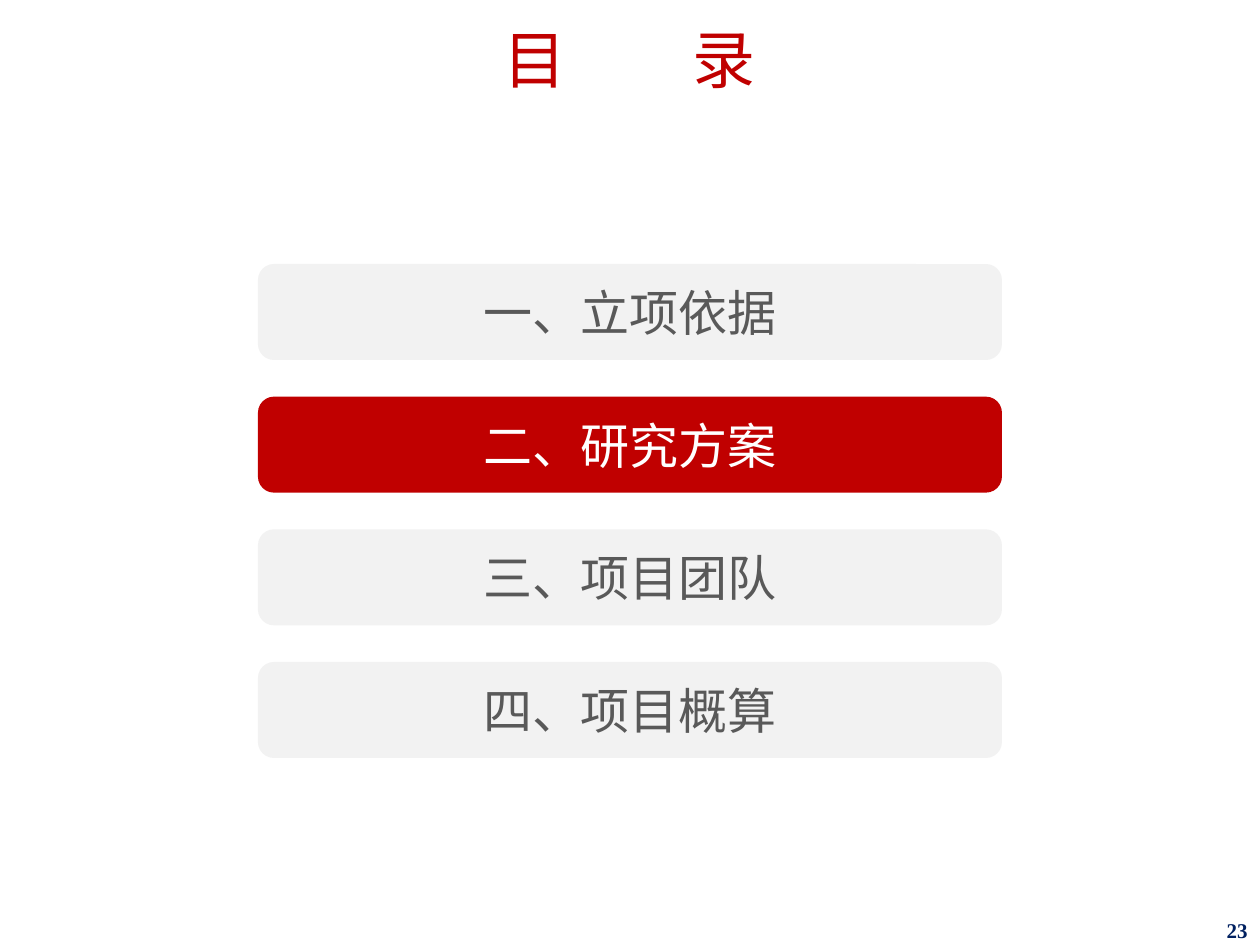
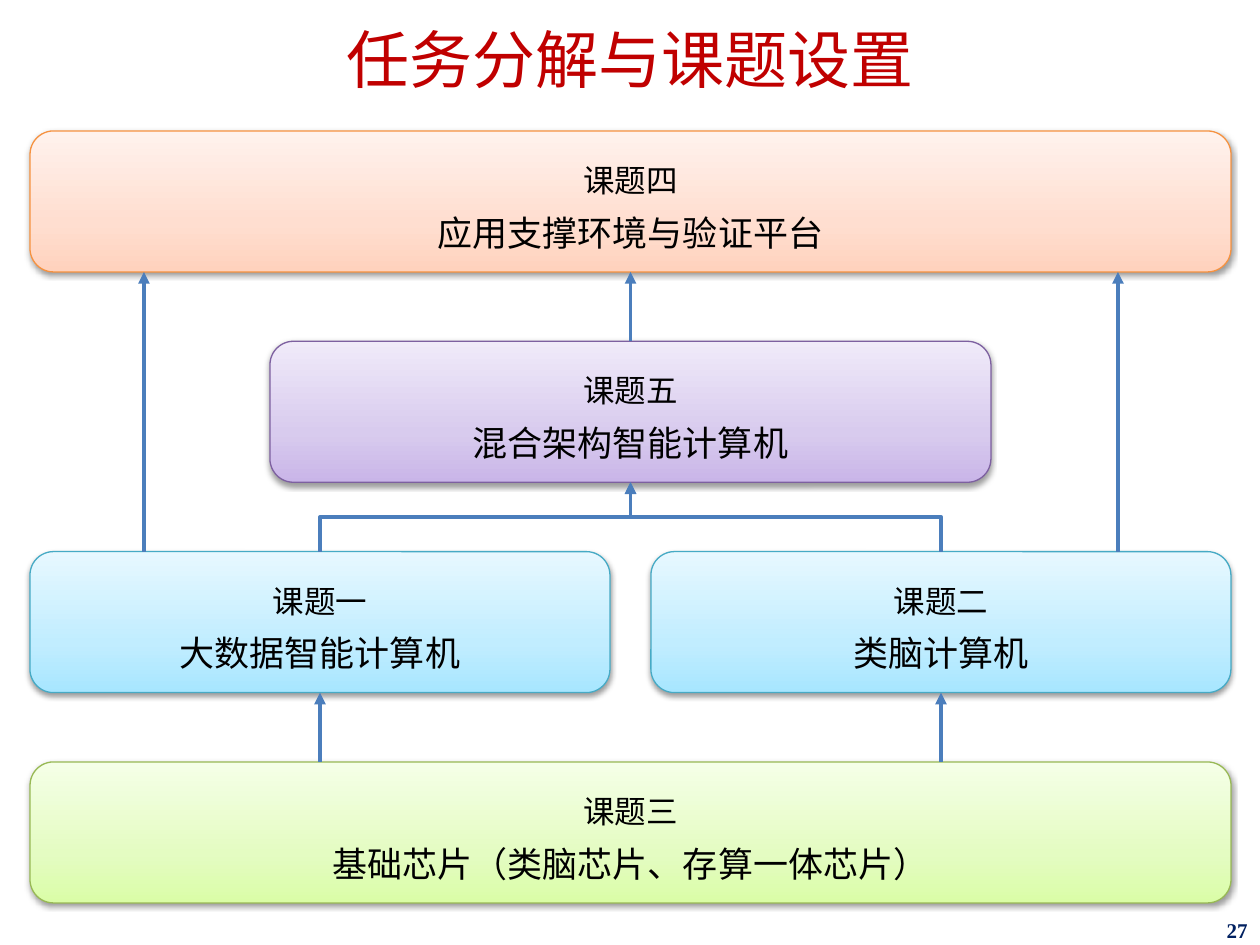
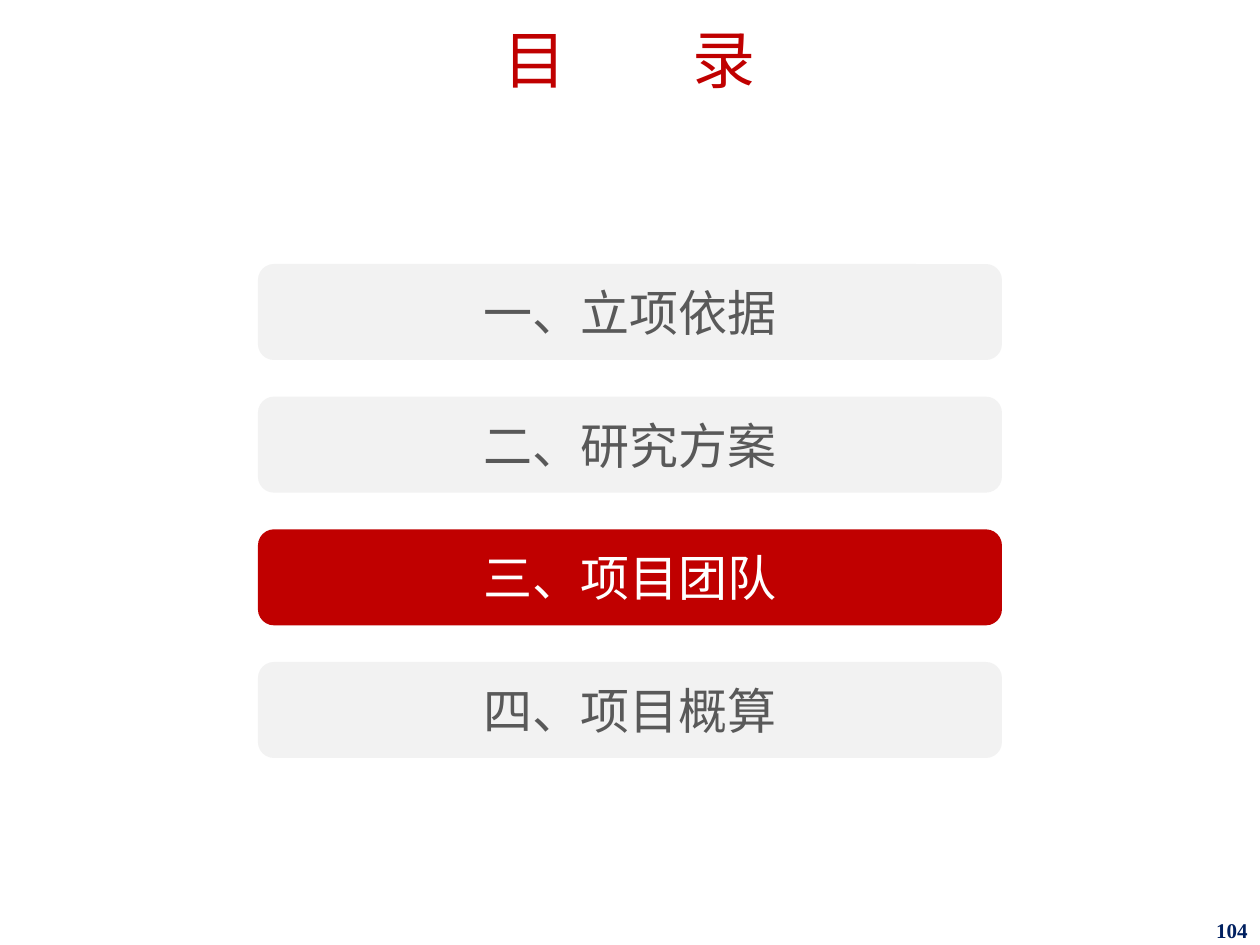
import copy
from dataclasses import dataclass

import pptx
import pptx.dml.color
import pptx.enum.shapes
import pptx.enum.text
import pptx.oxml
import pptx.oxml.ns
import pptx.util

ALIGN = pptx.enum.text.PP_ALIGN
KIND = pptx.enum.shapes.MSO_CONNECTOR
PX = 914400 / 126


@dataclass(frozen=True)
class Theme:
    font: str = "Times New Roman"
    red: str = "C00000"
    navy: str = "002060"
    white: str = "FFFFFF"
    black: str = "000000"
    pale: str = "F2F2F2"
    gray: str = "595959"
    wire: str = "4B7EBC"
    title: int = 36
    menu: int = 28
    name: int = 20
    label: int = 18
    page: int = 12
    hair: float = 0.75
    thick: float = 2.25


THEME = Theme()

# Edge colour, then gradient stops from bottom to top
TINTS = {
    "blue": ("46AAC5", ("A7E6FF", "C1EDFF", "E7F8FF")),
    "green": ("98B955", ("DAFDA7", "E4FCC2", "F5FFE7")),
    "violet": ("7D60A0", ("C9B5E8", "D8CBEE", "F0EAF9")),
    "orange": ("F69240", ("FFD2BD", "FFDED0", "FFF2ED")),
}
STOPS = (0, 0.35, 1)

MENU = ["一、立项依据", "二、研究方案", "三、项目团队", "四、项目概算"]
MENU_TITLE = "目　　录"
TASK_TITLE = "任务分解与课题设置"

# Row, side, width, tint, label, name
TASKS = {
    "one": (2, "left", 580, "blue", "课题一", "大数据智能计算机"),
    "two": (2, "right", 580, "blue", "课题二", "类脑计算机"),
    "three": (3, "left", 1201, "green", "课题三", "基础芯片（类脑芯片、存算一体芯片）"),
    "five": (1, "mid", 721, "violet", "课题五", "混合架构智能计算机"),
    "four": (0, "left", 1201, "orange", "课题四", "应用支撑环境与验证平台"),
}
LEFT, RIGHT = 30, 1231
SIDE_X = (144, 1118)


def emu(px):
    return pptx.util.Emu(round(px * PX))


def rgb(code):
    return pptx.dml.color.RGBColor.from_string(code)


def spread(top, end, high, count):
    """Tops of equal rows with equal gaps between top and end."""
    step = (end - top - high) / (count - 1)
    return [top + i * step for i in range(count)]


def write(frame, lines, align, space=None, inset=(6, 6)):
    """Fill a frame with (text, size, colour, bold) lines."""
    frame.word_wrap = True
    frame.vertical_anchor = pptx.enum.text.MSO_ANCHOR.MIDDLE
    frame.margin_left = frame.margin_right = pptx.util.Inches(0.1)
    frame.margin_top, frame.margin_bottom = map(emu, inset)
    for i, (text, size, tone, bold) in enumerate(lines):
        para = frame.add_paragraph() if i else frame.paragraphs[0]
        para.alignment = align
        if space:
            para.line_spacing = space
        run = para.add_run()
        run.text = text
        run.font.name = THEME.font
        run.font.size = pptx.util.Pt(size)
        run.font.bold = bold
        run.font.color.rgb = rgb(tone)


def add_page(deck, title, number):
    slide = deck.slides.add_slide(deck.slide_layouts[6])
    head = slide.shapes.add_textbox(0, 0, emu(1260), emu(112))
    write(head.text_frame, [(title, THEME.title, THEME.red, False)],
          ALIGN.CENTER, 0.9, (20, 6))
    foot = slide.shapes.add_textbox(emu(977), emu(917), emu(283), emu(28))
    write(foot.text_frame, [(str(number), THEME.page, THEME.navy, True)],
          ALIGN.RIGHT, inset=(5, 6))
    return slide


def add_card(slide, left, top, wide, high):
    kind = pptx.enum.shapes.MSO_SHAPE.ROUNDED_RECTANGLE
    card = slide.shapes.add_shape(kind, *map(emu, (left, top, wide, high)))
    card.shadow.inherit = False
    return card


def add_menu(deck, number, active):
    slide = add_page(deck, MENU_TITLE, number)
    high = 96
    for i, top in enumerate(spread(264, 758, high, len(MENU))):
        fill, tone = ((THEME.red, THEME.white) if i == active
                      else (THEME.pale, THEME.gray))
        card = add_card(slide, 258, top, 744, high)
        card.fill.solid()
        card.fill.fore_color.rgb = rgb(fill)
        card.line.fill.background()
        write(card.text_frame, [(MENU[i], THEME.menu, tone, False)], ALIGN.CENTER)


def shade(card, tint):
    """Give a card its gradient, edge and soft drop shadow."""
    edge, tones = TINTS[tint]
    card.fill.gradient()
    card.fill.gradient_angle = 90
    props = card._element.spPr
    stops = props.find(".//" + pptx.oxml.ns.qn("a:gsLst"))
    stops.append(copy.deepcopy(stops[0]))
    for stop, tone, spot in zip(card.fill.gradient_stops, tones, STOPS):
        stop.color.rgb = rgb(tone)
        stop.position = spot
    card.line.color.rgb = rgb(edge)
    card.line.width = pptx.util.Pt(THEME.hair)
    props.find(pptx.oxml.ns.qn("a:effectLst")).append(pptx.oxml.parse_xml(
        f'<a:outerShdw {pptx.oxml.ns.nsdecls("a")} blurRad="39370" dist="20320" '
        f'dir="5400000" rotWithShape="0"><a:srgbClr val="{THEME.black}">'
        '<a:alpha val="38000"/></a:srgbClr></a:outerShdw>'))


def add_arrow(slide, start, end, kind=KIND.STRAIGHT):
    line = slide.shapes.add_connector(kind, *map(emu, (*start, *end)))
    line.line.color.rgb = rgb(THEME.wire)
    line.line.width = pptx.util.Pt(THEME.thick)
    space = pptx.oxml.ns.nsdecls("a")
    line.line._get_or_add_ln().append(
        pptx.oxml.parse_xml(f'<a:tailEnd {space} type="triangle"/>'))
    line._element.spPr.append(pptx.oxml.parse_xml(f"<a:effectLst {space}/>"))
    return line


def add_elbow(slide, start, end):
    """Rise, cross and rise again: a level elbow turned by 270 degrees."""
    (x1, y1), (x2, y2) = start, end
    mid_x, mid_y = (x1 + x2) / 2, (y1 + y2) / 2
    half_x, half_y = (y1 - y2) / 2, (x2 - x1) / 2
    line = add_arrow(slide, (mid_x - half_x, mid_y - half_y),
                     (mid_x + half_x, mid_y + half_y), KIND.ELBOW)
    line._element.spPr.find(pptx.oxml.ns.qn("a:xfrm")).set("rot", "16200000")


def add_tasks(deck, number):
    slide = add_page(deck, TASK_TITLE, number)
    high = 141
    tops = spread(131, 903, high, 4)
    mids = {}
    for key, (row, side, wide, tint, label, name) in TASKS.items():
        left = {"left": LEFT, "right": RIGHT - wide,
                "mid": (LEFT + RIGHT - wide) / 2}[side]
        mids[key] = left + wide / 2
        card = add_card(slide, left, tops[row], wide, high)
        shade(card, tint)
        write(card.text_frame, [(label, THEME.label, THEME.black, False),
                                (name, THEME.name, THEME.black, False)],
              ALIGN.CENTER, 1.3)

    ends = [top + high for top in tops]
    pair = (mids["one"], mids["two"])
    for x in pair:
        add_elbow(slide, (x, tops[2]), (mids["five"], ends[1]))
    rises = [(mids["five"], 1, 0)]
    rises += [(x, 2, 0) for x in SIDE_X]
    rises += [(x, 3, 2) for x in pair]
    for x, low, up in rises:
        add_arrow(slide, (x, tops[low]), (x, ends[up]))


def main():
    deck = pptx.Presentation()
    deck.slide_width, deck.slide_height = emu(1260), emu(945)
    add_menu(deck, 23, 1)
    add_tasks(deck, 27)
    add_menu(deck, 104, 2)
    deck.save("out.pptx")


if __name__ == "__main__":
    main()
